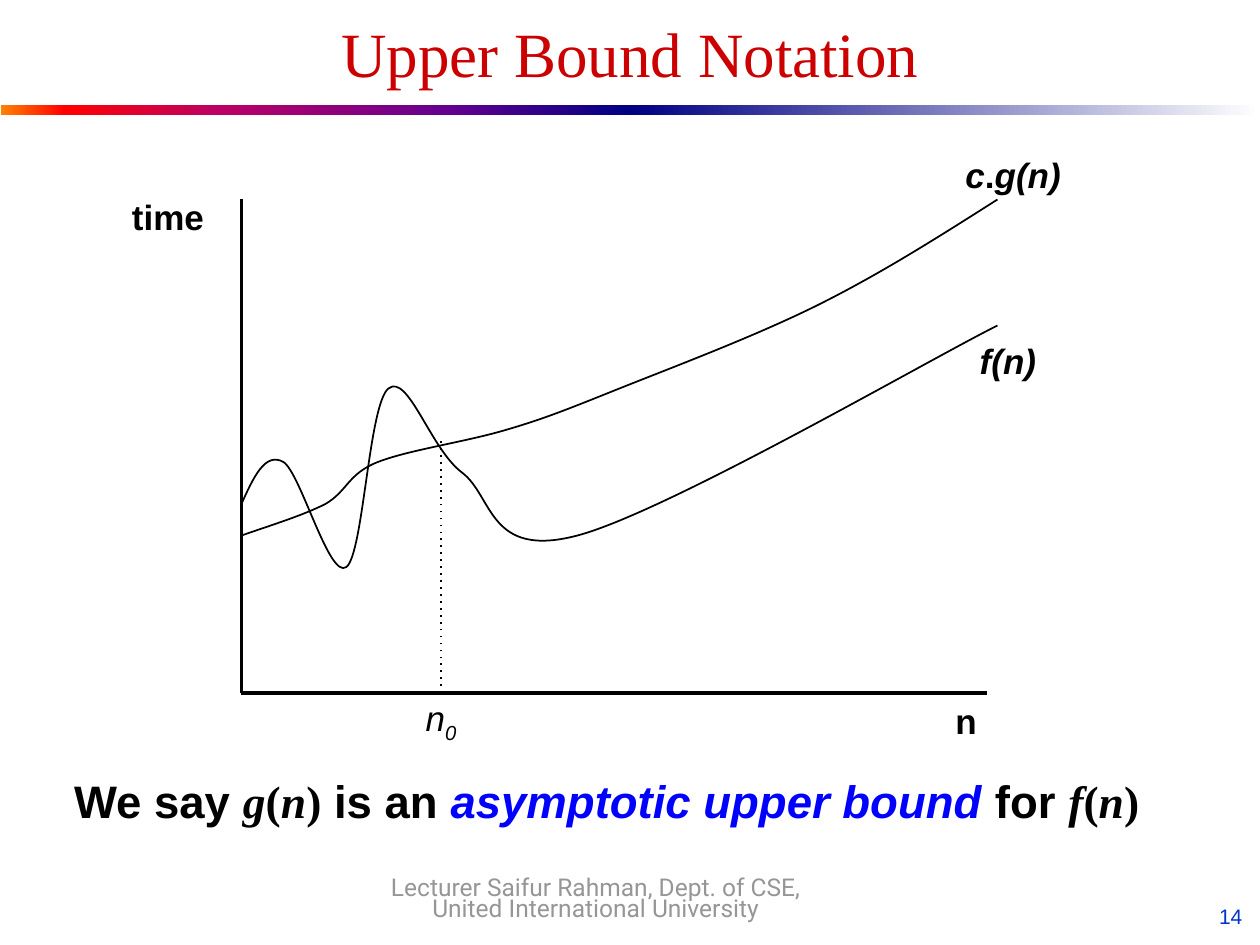
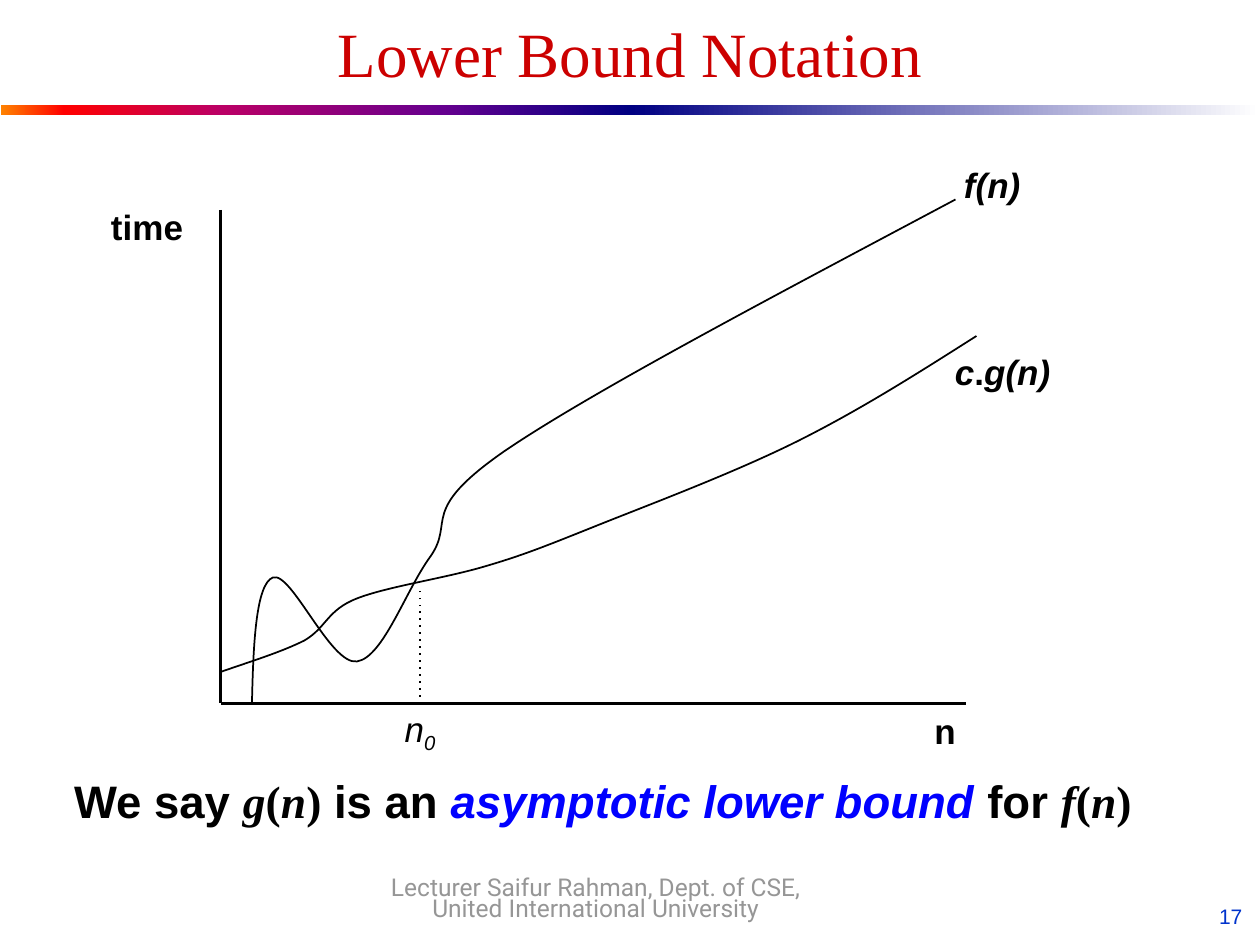
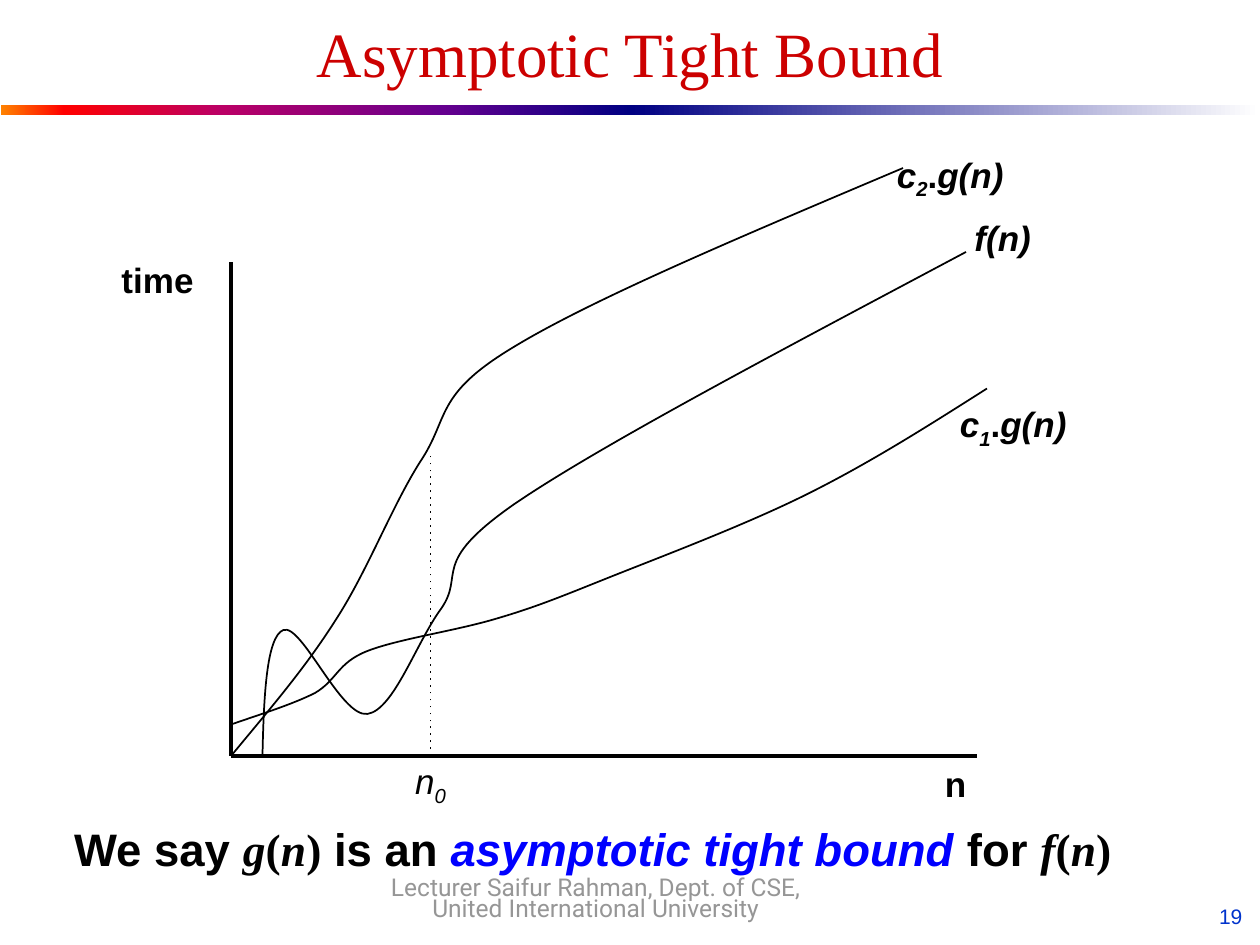
from dataclasses import dataclass

from lxml import etree
from pptx import Presentation
from pptx.dml.color import RGBColor
from pptx.enum.shapes import MSO_CONNECTOR, MSO_SHAPE
from pptx.enum.text import MSO_ANCHOR, PP_ALIGN
from pptx.oxml.ns import qn
from pptx.util import Pt

STRAIGHT = MSO_CONNECTOR.STRAIGHT
RECTANGLE = MSO_SHAPE.RECTANGLE
TOP, MIDDLE = MSO_ANCHOR.TOP, MSO_ANCHOR.MIDDLE
LEFT, CENTER, RIGHT = PP_ALIGN.LEFT, PP_ALIGN.CENTER, PP_ALIGN.RIGHT
PX = 9525


@dataclass(frozen=True)
class Theme:
    ink: str = "000000"
    title: str = "CC0000"
    accent: str = "0000FF"
    number: str = "0033CC"
    footer: str = "969696"
    sans: str = "Arial"
    serif: str = "Times New Roman"
    footer_font: str = "Roboto"
    title_size: int = 36
    caption_size: int = 26
    label_size: int = 20
    footer_size: int = 14
    number_size: int = 12
    axis_width: int = 2
    curve_width: int = 1


THEME = Theme()

BANDS = [
    (1, [(0, "FF8200"), (10, "FF0000"), (35, "BA0066"), (70, "66008F"), (100, "000082")]),
    (480, [(0, "000082"), (100, "FFFFFF")]),
]

LABEL = {"name": THEME.sans, "size": Pt(THEME.label_size), "bold": True}
SLANTED = {**LABEL, "italic": True}
VARIABLE = {**SLANTED, "bold": False}
TITLE = {"name": THEME.serif, "size": Pt(THEME.title_size), "color": THEME.title}
NUMBER = {"name": THEME.sans, "size": Pt(THEME.number_size), "color": THEME.number}
FOOTER = {"name": THEME.footer_font, "size": Pt(THEME.footer_size), "color": THEME.footer}
CAPTION = {"name": THEME.sans, "size": Pt(THEME.caption_size), "bold": True}
KEY_TERM = {**CAPTION, "italic": True, "color": THEME.accent}
MATH = {**CAPTION, "name": THEME.serif}
MATH_SLANTED = {**MATH, "italic": True}

F_LABEL = [("f(n)", SLANTED)]
DOT_G = [(".", LABEL), ("g(n)", SLANTED)]
CG_LABEL = [("c", SLANTED), *DOT_G]
C1G_LABEL = [("c", SLANTED), ("1", {**SLANTED, "baseline": -25}), *DOT_G]
C2G_LABEL = [("c", SLANTED), ("2", {**SLANTED, "baseline": -25}), *DOT_G]

# Curves hold Bezier points as (right, up) steps from their start.
G_CURVE = [
    (23, 8), (46, 15), (64, 24), (81, 34), (81, 47), (104, 56),
    (127, 65), (169, 71), (200, 80), (231, 89), (248, 96), (288, 112),
    (328, 128), (392, 152), (440, 176), (488, 200), (532, 228), (576, 256),
]
F_BELOW = [
    (9, 20), (18, 40), (32, 32), (45, 24), (67, -58), (80, -48),
    (93, -38), (97, 76), (112, 88), (127, 100), (144, 42), (168, 24),
    (192, 6), (188, -42), (256, -24), (324, -6), (522, 109), (576, 136),
]
F_ABOVE = [
    (1, 45), (3, 91), (16, 96), (30, 101), (60, 29), (80, 32),
    (100, 35), (117, 86), (136, 112), (155, 139), (126, 146), (192, 192),
    (258, 237), (397, 310), (536, 384),
]
C2G_CURVE = [
    (28, 34), (56, 66), (80, 104), (104, 141), (122, 189), (144, 224),
    (167, 258), (154, 275), (216, 312), (277, 349), (394, 398), (512, 448),
]

SLIDES = [
    {
        "title": "Upper Bound Notation", "number": "14", "term": "asymptotic upper bound",
        "origin": (184, 528), "threshold": 192, "caption_top": 584,
        "curves": [(0, 144, F_BELOW), (0, 120, G_CURVE)],
        "labels": [(532, 274, F_LABEL), (536, 416, CG_LABEL)],
    },
    {
        "title": "Lower Bound Notation", "number": "17", "term": "asymptotic lower bound",
        "origin": (168, 536), "threshold": 88, "caption_top": 584,
        "curves": [(0, 24, G_CURVE), (24, 0, F_ABOVE)],
        "labels": [(544, 274, CG_LABEL), (536, 416, F_LABEL)],
    },
    {
        "title": "Asymptotic Tight Bound", "number": "19", "term": "asymptotic tight bound",
        "origin": (176, 576), "threshold": 232, "caption_top": 621,
        "curves": [(0, 24, G_CURVE), (24, 0, F_ABOVE), (0, 0, C2G_CURVE)],
        "labels": [(544, 274, C1G_LABEL), (536, 416, F_LABEL), (496, 464, C2G_LABEL)],
    },
]


def add_text(page, area, spans, align=CENTER, anchor=TOP):
    box = page.shapes.add_textbox(*(length * PX for length in area))
    frame = box.text_frame
    frame.word_wrap = True
    frame.vertical_anchor = anchor
    para = frame.paragraphs[0]
    para.alignment = align
    for text, style in spans:
        span = para.add_run()
        span.text = text
        values = dict(style)
        span.font.color.rgb = RGBColor.from_string(values.pop("color", THEME.ink))
        baseline = values.pop("baseline", 0)
        for name, value in values.items():
            setattr(span.font, name, value)
        if baseline:
            span.font._element.set("baseline", str(baseline * 1000))
    return frame


def add_line(page, start, end, width, dash=None):
    line = page.shapes.add_connector(STRAIGHT, *(length * PX for length in start + end))
    line.line.color.rgb = RGBColor.from_string(THEME.ink)
    line.line.width = Pt(width)
    properties = line._element.spPr
    if dash:
        etree.SubElement(properties.find(qn("a:ln")), qn("a:prstDash"), val=dash)
    etree.SubElement(properties, qn("a:effectLst"))


deck = Presentation()
deck.slide_width, deck.slide_height = 960 * PX, 720 * PX

for content in SLIDES:
    page = deck.slides.add_slide(deck.slide_layouts[6])

    for left, stops in BANDS:
        band = page.shapes.add_shape(RECTANGLE, left * PX, 80 * PX, 480 * PX, 8 * PX)
        band.shadow.inherit = False
        band.line.fill.background()
        band.fill.gradient()
        band.fill.gradient_angle = 0
        stop_list = band._element.spPr.find(qn("a:gradFill")).find(qn("a:gsLst"))
        for stop in list(stop_list):
            stop_list.remove(stop)
        for percent, color in stops:
            stop = etree.SubElement(stop_list, qn("a:gs"), pos=str(percent * 1000))
            etree.SubElement(stop, qn("a:srgbClr"), val=color)

    add_text(page, (732, 684, 224, 26), [(content["number"], NUMBER)], RIGHT)

    x, y = content["origin"]
    add_line(page, (x, y - 376), (x, y), THEME.axis_width)
    add_line(page, (x, y), (x + 568, y), THEME.axis_width)
    add_line(page, (x + 152, y), (x + 152, y - content["threshold"]), THEME.curve_width, "dot")
    add_text(page, (x - 96, y - 384, 80, 41), [("time", LABEL)])
    add_text(page, (x + 512, y, 80, 41), [("n", LABEL)])
    add_text(page, (x + 112, y - 2, 80, 41),
             [("n", VARIABLE), ("0", {**VARIABLE, "baseline": -25})])

    for right, up, steps in content["curves"]:
        start_x, start_y = x + right, y - up
        builder = page.shapes.build_freeform(start_x * PX, start_y * PX)
        builder.add_line_segments(
            [((start_x + dx) * PX, (start_y - dy) * PX) for dx, dy in steps], close=False)
        curve = builder.convert_to_shape()
        curve.shadow.inherit = False
        curve.fill.background()
        curve.line.color.rgb = RGBColor.from_string(THEME.ink)
        curve.line.width = Pt(THEME.curve_width)
        segments = list(curve._element.iter(qn("a:lnTo")))
        outline = segments[0].getparent()
        for first in range(0, len(segments), 3):
            bezier = etree.SubElement(outline, qn("a:cubicBezTo"))
            for segment in segments[first:first + 3]:
                bezier.append(segment[0])
                outline.remove(segment)

    for right, up, spans in content["labels"]:
        add_text(page, (x + right, y - up, 104, 41), spans)

    add_text(page, (48, 16, 864, 48), [(content["title"], TITLE)], anchor=MIDDLE)
    add_text(page, (47, content["caption_top"], 864, 51), [
        ("We say ", CAPTION), ("g", MATH_SLANTED), ("(", MATH), ("n", MATH_SLANTED), (")", MATH),
        (" is an ", CAPTION), (content["term"], KEY_TERM), (" for ", CAPTION),
        ("f", MATH_SLANTED), ("(", MATH), ("n", MATH_SLANTED), (")", MATH),
    ], LEFT)

    footer = add_text(page, (284, 670, 340, 34), [
        ("Lecturer Saifur Rahman, Dept. of CSE, United International University", FOOTER)])
    for side in ("left", "top", "right", "bottom"):
        setattr(footer, f"margin_{side}", 0)
    footer.paragraphs[0].line_spacing = Pt(12.4)

deck.save("out.pptx")
